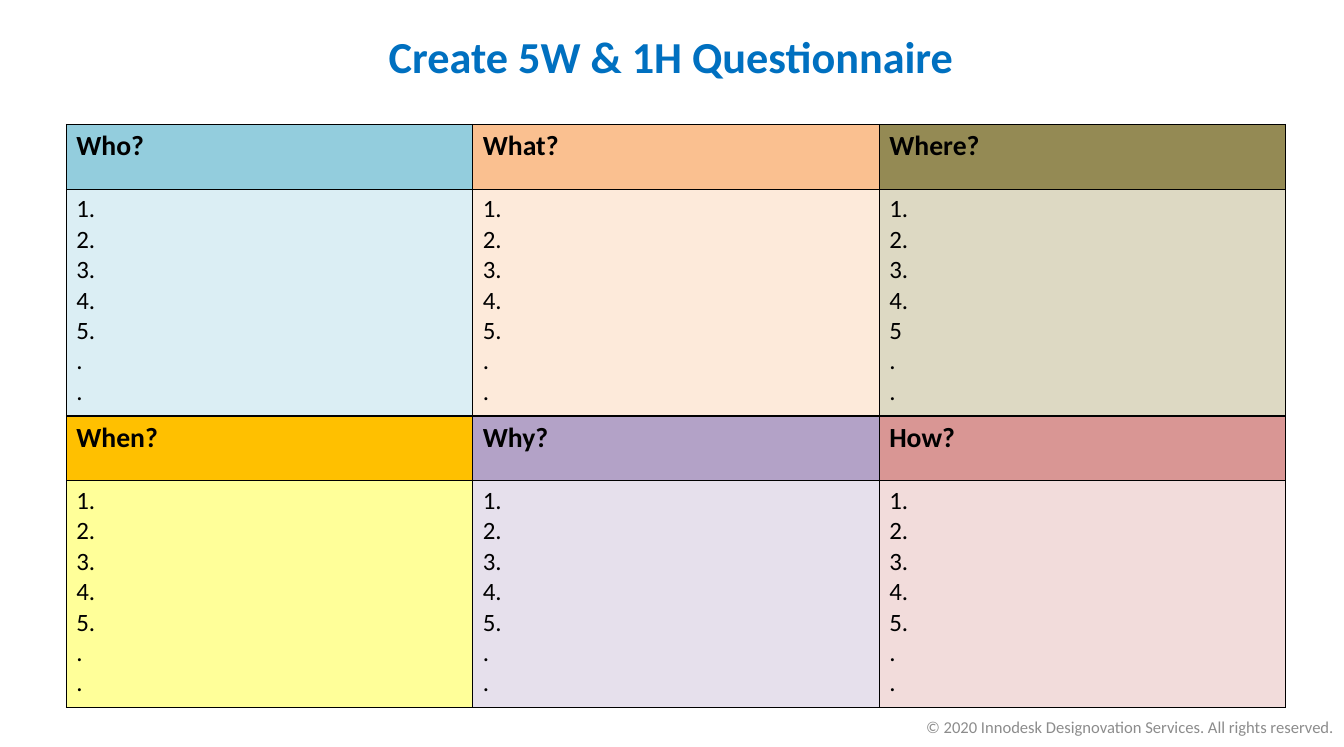
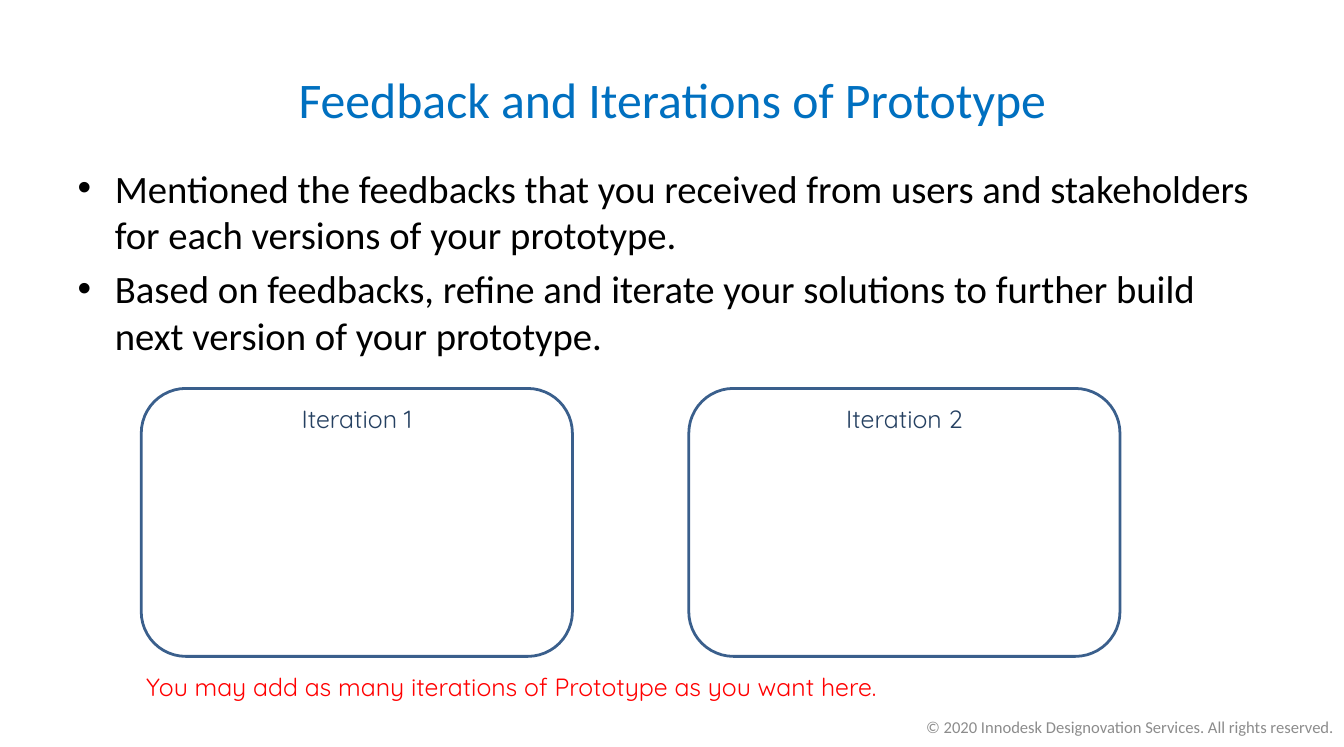
"""Build the questionnaire and prototype feedback slides."""
from dataclasses import dataclass

from lxml.etree import SubElement
from pptx import Presentation
from pptx.dml.color import RGBColor
from pptx.enum.shapes import MSO_SHAPE as Preset
from pptx.enum.text import MSO_ANCHOR as Anchor, PP_ALIGN as Align
from pptx.oxml.ns import qn
from pptx.slide import Slide
from pptx.table import _Cell as Cell
from pptx.text.text import _Paragraph as Paragraph
from pptx.util import Pt

BLACK = RGBColor(0x00, 0x00, 0x00)
WHITE = RGBColor(0xFF, 0xFF, 0xFF)
BLUE = RGBColor(0x00, 0x70, 0xC0)
NAVY = RGBColor(0x25, 0x40, 0x61)
OUTLINE = RGBColor(0x3A, 0x5F, 0x8C)
RED = RGBColor(0xFF, 0x00, 0x00)
GRAY = RGBColor(0x8C, 0x8C, 0x8C)

FOOTER = "© 2020 Innodesk Designovation Services. All rights reserved."
ANSWERS = ("1.", "2.", "3.", "4.", "5.", ".", ".")
FEEDBACK = (
    "Mentioned the feedbacks that you received from users and stakeholders "
    "for each versions of your prototype.",
    "Based on feedbacks, refine and iterate your solutions to further build "
    "next version of your prototype.",
)
COLUMNS = 3
COLUMN_WIDTH = 294
HEADER_HEIGHT = 46.8
ANSWER_HEIGHT = 164
BULLET_INDENT = 27


@dataclass(frozen=True)
class Box:
    """A rectangle in points."""
    left: float
    top: float
    width: float
    height: float

    def lengths(self) -> tuple[Pt, ...]:
        """Return left, top, width and height as lengths."""
        return Pt(self.left), Pt(self.top), Pt(self.width), Pt(self.height)


@dataclass(frozen=True)
class TextStyle:
    """The look of a text."""
    size: float
    color: RGBColor = BLACK
    bold: bool = False
    font: str = "Calibri"
    align: Align = Align.LEFT
    anchor: Anchor = Anchor.TOP


@dataclass(frozen=True)
class Question:
    """A question with its two fills and its answer lines."""
    name: str
    header_fill: RGBColor
    answer_fill: RGBColor
    answers: tuple[str, ...] = ANSWERS


QUESTIONS = (
    Question("Who?", RGBColor(0x93, 0xCD, 0xDD), RGBColor(0xDB, 0xEE, 0xF4)),
    Question("What?", RGBColor(0xFA, 0xC0, 0x90), RGBColor(0xFD, 0xEA, 0xDA)),
    Question("Where?", RGBColor(0x94, 0x8A, 0x54), RGBColor(0xDD, 0xD9, 0xC3),
             ("1.", "2.", "3.", "4.", "5", ".", ".")),
    Question("When?", RGBColor(0xFF, 0xC0, 0x00), RGBColor(0xFF, 0xFF, 0x99)),
    Question("Why?", RGBColor(0xB3, 0xA2, 0xC7), RGBColor(0xE6, 0xE0, 0xEC)),
    Question("How?", RGBColor(0xD9, 0x96, 0x94), RGBColor(0xF2, 0xDC, 0xDB)),
)
HEADER_STYLE = TextStyle(20, bold=True)
ANSWER_STYLE = TextStyle(18)
BODY_STYLE = TextStyle(28)
FOOTER_STYLE = TextStyle(12, GRAY, align=Align.RIGHT, anchor=Anchor.MIDDLE)
LABEL_STYLE = TextStyle(18, NAVY, font="Quicksand", align=Align.CENTER)
NOTE_STYLE = TextStyle(18, RED, font="Quicksand")


def format_paragraph(paragraph: Paragraph, style: TextStyle) -> None:
    """Apply a style to a paragraph and its runs."""
    paragraph.alignment = style.align
    for run in paragraph.runs:
        run.font.name = style.font
        run.font.size = Pt(style.size)
        run.font.bold = style.bold
        run.font.color.rgb = style.color


def add_text(slide: Slide, box: Box, text: str, style: TextStyle) -> list[Paragraph]:
    """Add a wrapped text box and return its paragraphs."""
    frame = slide.shapes.add_textbox(*box.lengths()).text_frame
    frame.word_wrap = True
    frame.vertical_anchor = style.anchor
    frame.text = text
    for paragraph in frame.paragraphs:
        format_paragraph(paragraph, style)
    return list(frame.paragraphs)


def add_slide(presentation: Presentation, title: str, box: Box, size: float,
              bold: bool = False) -> Slide:
    """Add a blank slide with the shared title style and footer."""
    slide = presentation.slides.add_slide(presentation.slide_layouts[6])
    style = TextStyle(size, BLUE, bold, align=Align.CENTER, anchor=Anchor.MIDDLE)
    add_text(slide, box, title, style)
    add_text(slide, Box(518.4, 511.2, 453.6, 28.8), FOOTER, FOOTER_STYLE)
    return slide


def fill_cell(cell: Cell, text: str, style: TextStyle, color: RGBColor) -> None:
    """Set the text, borders and fill of a table cell."""
    cell.text_frame.text = text
    for paragraph in cell.text_frame.paragraphs:
        format_paragraph(paragraph, style)
    properties = cell._tc.get_or_add_tcPr()
    for side in ("lnL", "lnR", "lnT", "lnB"):
        line = SubElement(properties, qn(f"a:{side}"), w=str(Pt(1)))
        solid = SubElement(line, qn("a:solidFill"))
        SubElement(solid, qn("a:srgbClr"), val=str(BLACK))
    cell.fill.solid()
    cell.fill.fore_color.rgb = color


def add_questions(slide: Slide) -> None:
    """Add the table of questions and answer lines."""
    heights = (HEADER_HEIGHT, ANSWER_HEIGHT) * (len(QUESTIONS) // COLUMNS)
    box = Box(48, 90, COLUMNS * COLUMN_WIDTH, sum(heights))
    table = slide.shapes.add_table(len(heights), COLUMNS, *box.lengths()).table
    table.first_row = False
    table.horz_banding = False
    for column in table.columns:
        column.width = Pt(COLUMN_WIDTH)
    for row, height in zip(table.rows, heights):
        row.height = Pt(height)
    for index, question in enumerate(QUESTIONS):
        band, column = divmod(index, COLUMNS)
        fill_cell(table.cell(2 * band, column), question.name,
                  HEADER_STYLE, question.header_fill)
        fill_cell(table.cell(2 * band + 1, column), "\n".join(question.answers),
                  ANSWER_STYLE, question.answer_fill)


def add_bullets(slide: Slide, box: Box, items: tuple[str, ...]) -> None:
    """Add a bulleted list."""
    for index, paragraph in enumerate(add_text(slide, box, "\n".join(items), BODY_STYLE)):
        properties = paragraph._p.get_or_add_pPr()
        properties.set("marL", str(Pt(BULLET_INDENT)))
        properties.set("indent", str(Pt(-BULLET_INDENT)))
        SubElement(properties, qn("a:buFont"), typeface="Arial")
        SubElement(properties, qn("a:buChar"), char="•")
        if index:
            paragraph.space_before = Pt(5.6)


def add_iteration(slide: Slide, left: float, label: str) -> None:
    """Add a rounded frame with its label."""
    box = Box(left, 280.8, 311.8, 193.7)
    frame = slide.shapes.add_shape(Preset.ROUNDED_RECTANGLE, *box.lengths())
    frame.shadow.inherit = False
    frame.fill.solid()
    frame.fill.fore_color.rgb = WHITE
    frame.line.color.rgb = OUTLINE
    frame.line.width = Pt(2)
    add_text(slide, Box(left + 67.7, 288, 176.4, 28.8), label, LABEL_STYLE)


def main() -> None:
    """Build and save the presentation."""
    presentation = Presentation()
    presentation.slide_width = Pt(972)
    presentation.slide_height = Pt(540)

    questionnaire = add_slide(presentation, "Create 5W & 1H Questionnaire",
                              Box(48, 12.2, 874.8, 56.2), 32, bold=True)
    add_questions(questionnaire)

    feedback = add_slide(presentation, "Feedback and Iterations of Prototype",
                         Box(49, 36.7, 874.8, 69.8), 36)
    add_bullets(feedback, Box(49, 115.2, 874.8, 154.8), FEEDBACK)
    for index in range(2):
        add_iteration(feedback, 102.2 + index * 396, f"Iteration {index + 1}")
    add_text(feedback, Box(98.6, 481.7, 579.6, 28.8),
             "You may add as many iterations of Prototype as you want here.", NOTE_STYLE)

    presentation.save("out.pptx")


if __name__ == "__main__":
    main()
